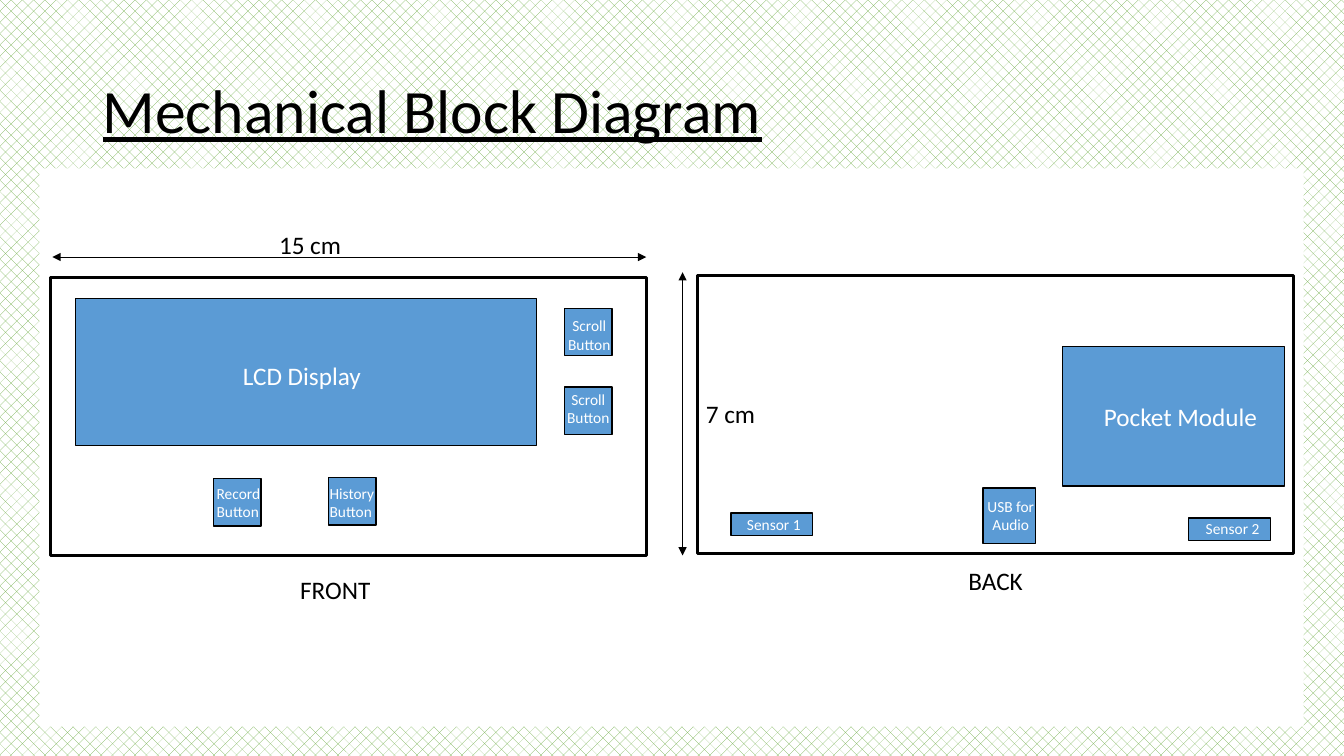
from lxml import etree
from pptx import Presentation
from pptx.dml.color import RGBColor
from pptx.enum.dml import MSO_PATTERN
from pptx.enum.shapes import MSO_CONNECTOR, MSO_SHAPE
from pptx.enum.text import MSO_ANCHOR, PP_ALIGN
from pptx.oxml.ns import qn
from pptx.util import Pt

PX = 9144
COLORS = {"black": "000000", "white": "FFFFFF", "blue": "5B9BD5", "green": "70AD47"}
LEFT, CENTER = PP_ALIGN.LEFT, PP_ALIGN.CENTER


def rgb(name):
    return RGBColor.from_string(COLORS[name])


def emu(*lengths):
    return [n * PX for n in lengths]


def within(box, x, y, *size):
    return (box[0] + x, box[1] + y, *size)


def add_text(s, box, text, size=18, color="black", align=CENTER,
             anchor=MSO_ANCHOR.TOP, underline=None, spacing=None):
    tf = s.shapes.add_textbox(*emu(*box)).text_frame
    tf.word_wrap = True
    tf.vertical_anchor = anchor
    p = tf.paragraphs[0]
    p.alignment = align
    p.line_spacing = spacing
    r = p.add_run()
    r.text = text
    r.font.name = "Calibri"
    r.font.size = Pt(size)
    r.font.underline = underline
    r.font.color.rgb = rgb(color)


def add_rect(s, box, fill=None, line=None):
    sp = s.shapes.add_shape(MSO_SHAPE.RECTANGLE, *emu(*box))
    sp.shadow.inherit = False
    if fill:
        sp.fill.solid()
        sp.fill.fore_color.rgb = rgb(fill)
    else:
        sp.fill.background()
    if line:
        sp.line.color.rgb = rgb("black")
        sp.line.width = Pt(line)
    else:
        sp.line.fill.background()


def add_dimension(s, start, end, text, label):
    cn = s.shapes.add_connector(MSO_CONNECTOR.STRAIGHT, *emu(*start, *end))
    cn.line.color.rgb = rgb("black")
    cn.line.width = Pt(0.5)
    ln = cn.line._get_or_add_ln()
    for tag in ("a:headEnd", "a:tailEnd"):
        etree.SubElement(ln, qn(tag), type="triangle")
    etree.SubElement(ln.getparent(), qn("a:effectLst"))
    add_text(s, label, text)


def add_panel(s, box, blocks, caption, caption_at):
    for text, block, label, size, align in blocks:
        add_rect(s, within(box, *block), "blue", 1)
        add_text(s, within(box, *label), text, size, "white", align)
    add_rect(s, box, line=2.25)
    add_text(s, within(box, *caption_at, 145, 40), caption)


def add_front(s, box):
    add_panel(s, box, [
        ("LCD Display", (25, 21, 457, 146), (181, 78, 145, 40), 18, LEFT),
        ("Record Button", (162, 200, 47, 47), (155, 200, 81, 47), 11, LEFT),
        ("History Button", (276, 199, 47, 47), (267, 200, 81, 47), 11, LEFT),
        ("Scroll Button", (510, 31, 47, 47), (494, 34, 81, 47), 11, CENTER),
        ("Scroll Button", (510, 109, 47, 47), (493, 107, 81, 47), 11, CENTER),
    ], "FRONT", (210, 290))
    add_dimension(s, within(box, 2, -20), within(box, box[2], -20),
                  "15 cm", within(box, 185, -52, 145, 40))


def add_back(s, box):
    add_panel(s, box, [
        ("Pocket Module", (362, 71, 220, 138), (393, 120, 197, 40), 18, LEFT),
        ("USB for Audio", (283, 211, 52, 55), (270, 215, 81, 47), 11, CENTER),
        ("Sensor 1", (33, 236, 81, 22), (39, 233, 141, 29), 11, LEFT),
        ("Sensor 2", (487, 241, 81, 22), (494, 237, 141, 29), 11, LEFT),
    ], "BACK", (223, 283))
    add_dimension(s, within(box, -15, -3), within(box, -15, box[3] + 2),
                  "7 cm", within(box, -40, 117, 145, 40))


def add_background(s):
    fill = s.background.fill
    fill.patterned()
    fill.pattern = MSO_PATTERN.PERCENT_25
    fill.fore_color.rgb = rgb("green")
    fill.back_color.rgb = rgb("white")


def main():
    prs = Presentation()
    prs.slide_width, prs.slide_height = emu(1333, 750)
    s = prs.slides.add_slide(prs.slide_layouts[6])
    add_background(s)
    add_text(s, (92, 40, 1150, 145), "Mechanical Block Diagram", 44, align=LEFT,
             anchor=MSO_ANCHOR.MIDDLE, underline=True, spacing=0.9)
    add_rect(s, (39, 167, 1254, 554), "white")
    add_front(s, (50, 275, 591, 276))
    add_back(s, (692, 273, 591, 276))
    prs.save("out.pptx")


if __name__ == "__main__":
    main()
